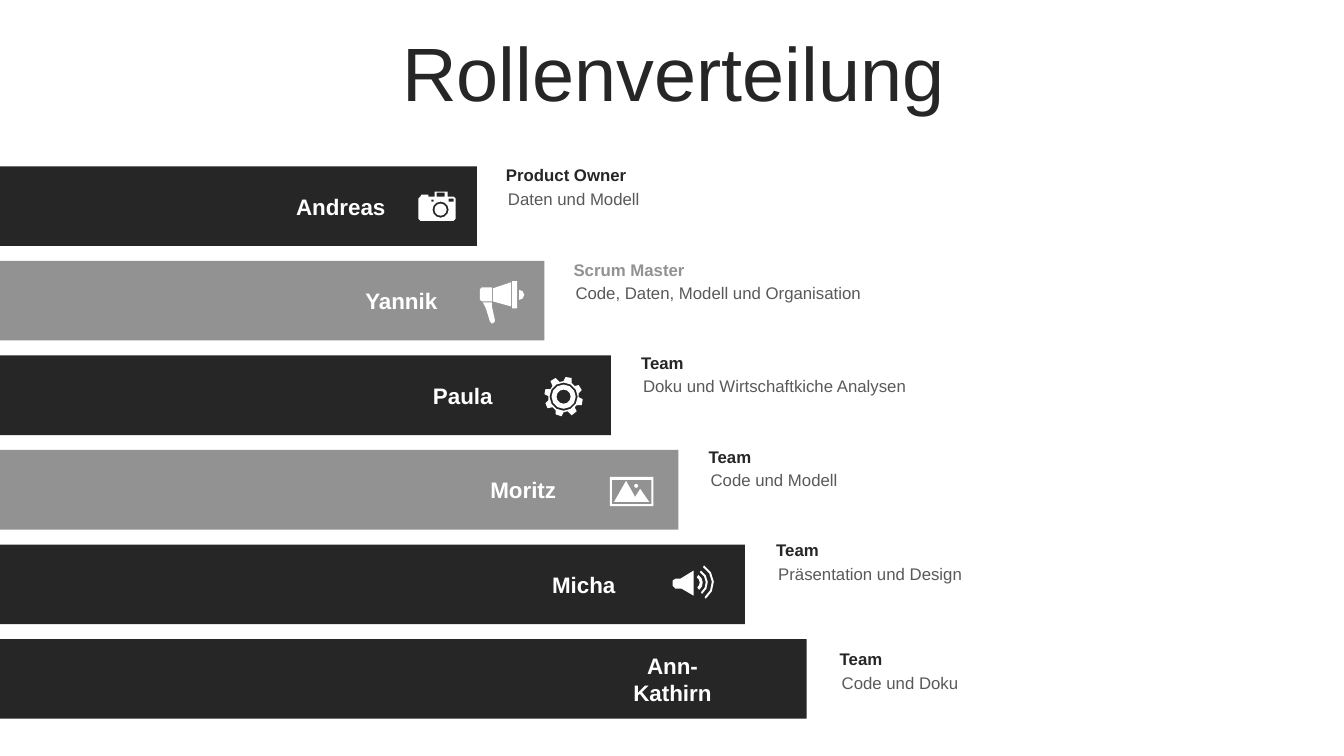
import math
from dataclasses import dataclass

import pptx
import pptx.dml.color
import pptx.enum.shapes
import pptx.enum.text
import pptx.util
from pptx.util import Inches

DARK = pptx.dml.color.RGBColor(0x26, 0x26, 0x26)
GREY = pptx.dml.color.RGBColor(0x92, 0x92, 0x92)
TASK_GREY = pptx.dml.color.RGBColor(0x59, 0x59, 0x59)
WHITE = pptx.dml.color.RGBColor(0xFF, 0xFF, 0xFF)

FONT = "Arial"
BAR_LEFT, BAR_HEIGHT = -0.07, 0.79
FIRST_BAR_TOP, LAST_BAR_TOP = 1.65, 6.34


@dataclass
class Member:
    name: str
    role: str
    task: str
    bar_color: pptx.dml.color.RGBColor
    role_color: pptx.dml.color.RGBColor
    bar_right: float
    name_left: float
    role_left: float
    role_top: float


TEAM = [
    Member("Andreas", "Product Owner", "Daten und Modell",
           DARK, DARK, 4.73, 2.72, 4.92, 1.59),
    Member("Yannik", "Scrum Master", "Code, Daten, Modell und Organisation",
           GREY, GREY, 5.4, 3.32, 5.59, 2.53),
    Member("Paula", "Team", "Doku und Wirtschaftkiche Analysen",
           DARK, DARK, 6.06, 3.93, 6.26, 3.45),
    Member("Moritz", "Team", "Code und Modell",
           GREY, DARK, 6.73, 4.53, 6.93, 4.38),
    Member("Micha", "Team", "Präsentation und Design",
           DARK, DARK, 7.39, 5.13, 7.6, 5.31),
    Member("Ann-Kathirn", "Team", "Code und Doku",
           DARK, DARK, 8.0, 6.01, 8.23, 6.39),
]


# Outline helpers: each returns a list of points in inches
def arc(cx, cy, radius, start, end, steps=4):
    angles = [math.radians(start + (end - start) * i / steps) for i in range(steps + 1)]
    return [(cx + radius * math.cos(a), cy + radius * math.sin(a)) for a in angles]


def circle(cx, cy, radius):
    return arc(cx, cy, radius, 0, 330, 11)


def box(left, top, right, bottom):
    return [(left, top), (right, top), (right, bottom), (left, bottom)]


def sound_wave(inner, outer):
    cx, cy = 6.88, 5.78
    return arc(cx, cy, outer, -59, 53) + arc(cx, cy, inner, 53, -59)


# Icons: overlapping outlines cut holes
CAMERA = [
    [(4.17, 1.95), (4.18, 1.93), (4.25, 1.93), (4.25, 1.95), (4.31, 1.95), (4.31, 1.9),
     (4.44, 1.9), (4.44, 1.95), (4.5, 1.95), (4.52, 1.97), (4.52, 2.17), (4.5, 2.19),
     (4.17, 2.19), (4.15, 2.17), (4.15, 1.97)],
    box(4.33, 1.91, 4.41, 1.95),
    box(4.28, 1.98, 4.3, 2.0),
    box(4.45, 1.97, 4.5, 2.0),
    circle(4.37, 2.08, 0.08),
    circle(4.37, 2.08, 0.06),
]
MEGAPHONE = [
    [(4.79, 3.0), (4.88, 3.0), (4.88, 3.04), (4.91, 3.18), (4.9, 3.2),
     (4.88, 3.21), (4.86, 3.19), (4.82, 3.06)],
    arc(5.15, 2.925, 0.05, -90, 90),
    [(4.78, 2.85), (4.88, 2.85), (4.88, 2.99), (4.78, 2.99), (4.76, 2.97), (4.76, 2.87)],
    [(5.07, 2.8), (5.07, 3.04), (4.89, 2.99), (4.89, 2.86)],
    box(5.08, 2.79, 5.13, 3.06),
]
GEAR = [
    [(5.67, 3.75), (5.67, 3.8), (5.7, 3.83), (5.74, 3.82), (5.77, 3.87), (5.74, 3.9),
     (5.74, 3.94), (5.78, 3.96), (5.77, 4.02), (5.72, 4.02), (5.7, 4.04), (5.72, 4.08),
     (5.67, 4.12), (5.63, 4.08), (5.59, 4.09), (5.57, 4.13), (5.51, 4.11), (5.51, 4.07),
     (5.48, 4.04), (5.43, 4.05), (5.41, 4.0), (5.44, 3.97), (5.44, 3.93), (5.4, 3.91),
     (5.41, 3.86), (5.46, 3.86), (5.48, 3.83), (5.46, 3.78), (5.51, 3.75), (5.55, 3.79),
     (5.59, 3.78), (5.61, 3.74)],
    *[circle(5.59, 3.935, radius) for radius in (0.14, 0.12, 0.07)],
]
LANDSCAPE = [
    box(6.05, 4.73, 6.48, 5.02),
    box(6.07, 4.76, 6.46, 5.0),
    [(6.21, 4.77), (6.3, 4.93), (6.35, 4.85), (6.44, 4.98), (6.09, 4.98)],
    arc(6.31, 4.82, 0.02, 0, 315, 7),
]
SPEAKER = [
    [(6.88, 5.66), (6.88, 5.91), (6.76, 5.84), (6.7, 5.84), (6.67, 5.81),
     (6.67, 5.76), (6.7, 5.74), (6.75, 5.74)],
    *[sound_wave(inner, outer) for inner, outer in ((0.06, 0.09), (0.12, 0.14), (0.18, 0.2))],
]


def paint(shape, color):
    shape.shadow.inherit = False
    shape.fill.solid()
    shape.fill.fore_color.rgb = color
    shape.line.fill.background()


def add_bar(slide, top, right, color):
    bar = slide.shapes.add_shape(
        pptx.enum.shapes.MSO_SHAPE.RECTANGLE, Inches(BAR_LEFT), Inches(top),
        Inches(right - BAR_LEFT), Inches(BAR_HEIGHT))
    paint(bar, color)


def add_icon(slide, outlines):
    units = [[(x * 1000, y * 1000) for x, y in outline] for outline in outlines]
    builder = slide.shapes.build_freeform(*units[0][0], scale=Inches(1) / 1000)
    builder.add_line_segments(units[0][1:], close=True)
    for outline in units[1:]:
        builder.move_to(*outline[0])
        builder.add_line_segments(outline[1:], close=True)
    paint(builder.convert_to_shape(), WHITE)


def add_text(slide, text, left, top, width, height, size, color, bold=False, centered=False):
    frame = slide.shapes.add_textbox(
        Inches(left), Inches(top), Inches(width), Inches(height)).text_frame
    frame.word_wrap = True
    paragraph = frame.paragraphs[0]
    if centered:
        frame.vertical_anchor = pptx.enum.text.MSO_ANCHOR.MIDDLE
        paragraph.alignment = pptx.enum.text.PP_ALIGN.CENTER
    run = paragraph.add_run()
    run.text = text
    run.font.name = FONT
    run.font.size = pptx.util.Pt(size)
    run.font.bold = bold
    run.font.color.rgb = color
    return paragraph


def add_member(slide, member, top):
    add_bar(slide, top, member.bar_right, member.bar_color)
    # The name is centred on the height of its bar
    name_height = 0.64 if "-" in member.name else 0.37
    add_text(slide, member.name, member.name_left, top + (BAR_HEIGHT - name_height) / 2,
             1.32, name_height, 16, WHITE, bold=True, centered=True)
    add_text(slide, member.role, member.role_left, member.role_top, 4.72, 0.3,
             12, member.role_color, bold=True)
    add_text(slide, member.task, member.role_left + 0.02, member.role_top + 0.23, 4.76, 0.3,
             12, TASK_GREY)


def main():
    presentation = pptx.Presentation()
    presentation.slide_width = Inches(13.33)
    presentation.slide_height = Inches(7.5)
    slide = presentation.slides.add_slide(presentation.slide_layouts[6])

    # Title
    title = add_text(slide, "Rollenverteilung", 0.35, 0.37, 12.66, 0.79,
                     54, DARK, centered=True)
    title.line_spacing = 0.9
    title.space_before = pptx.util.Pt(10)

    # Team members with their bars
    bar_pitch = (LAST_BAR_TOP - FIRST_BAR_TOP) / (len(TEAM) - 1)
    for row, member in enumerate(TEAM):
        add_member(slide, member, FIRST_BAR_TOP + row * bar_pitch)

    # Icons on the bars
    for icon in (CAMERA, MEGAPHONE, GEAR, LANDSCAPE, SPEAKER):
        add_icon(slide, icon)

    presentation.save("out.pptx")


if __name__ == "__main__":
    main()
